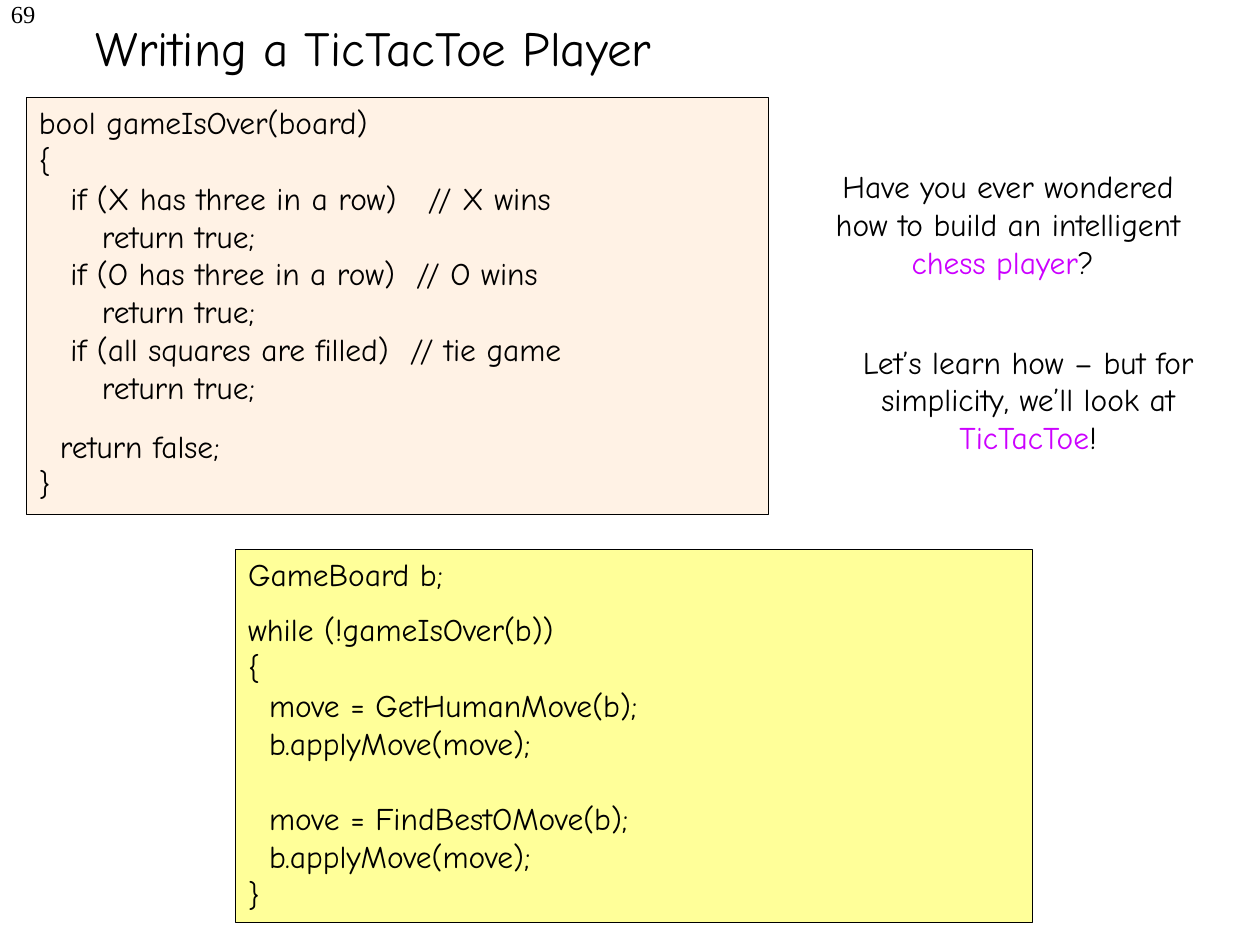
from pptx import Presentation
from pptx.dml.color import RGBColor
from pptx.enum.shapes import MSO_SHAPE
from pptx.enum.text import MSO_ANCHOR, PP_ALIGN
from pptx.util import Inches, Pt

RECTANGLE = MSO_SHAPE.RECTANGLE
TOP, MIDDLE = MSO_ANCHOR.TOP, MSO_ANCHOR.MIDDLE
LEFT, CENTER, RIGHT = PP_ALIGN.LEFT, PP_ALIGN.CENTER, PP_ALIGN.RIGHT
COLORS = {"ink": "000000", "accent": "CC00FF", "yellow": "FFFF99", "peach": "FFF2E5"}
CODE_FONT, NUMBER_FONT = "Comic Neue", "Times New Roman"

deck = Presentation()
deck.slide_width, deck.slide_height = Inches(10), Inches(7.5)
page = deck.slides.add_slide(deck.slide_layouts[6])

# Grid of 100 columns by 75 rows; areas are left, top, width, height
COLUMN, ROW = deck.slide_width / 100, deck.slide_height / 75


def on_grid(left, top, width, height):
    return [int(left * COLUMN), int(top * ROW), int(width * COLUMN), int(height * ROW)]


def fill_text(box, paragraphs, size=18, font=CODE_FONT, align=LEFT, anchor=TOP):
    """Write paragraphs given as (space before in points, [(text, colour name), ...])."""
    frame = box.text_frame
    frame.word_wrap = True
    frame.vertical_anchor = anchor
    for index, (space, spans) in enumerate(paragraphs):
        para = frame.add_paragraph() if index else frame.paragraphs[0]
        para.alignment = align
        if space:
            para.space_before = Pt(space)
        for text, color in spans:
            span = para.add_run()
            span.text = text
            span.font.name = font
            span.font.size = Pt(size)
            span.font.color.rgb = RGBColor.from_string(COLORS[color])


# Page number and title
number = page.shapes.add_textbox(*on_grid(-17, -0.6, 20.8, 5))
fill_text(number, [(0, [("69", "ink")])], 14, NUMBER_FONT, RIGHT)
title = page.shapes.add_textbox(*on_grid(-5.8, -2.5, 70.9, 12.5))
fill_text(title, [(0, [("Writing a TicTacToe Player", "ink")])], 28, align=CENTER, anchor=MIDDLE)

# Code panels: area, fill, lines, and the space before some lines
main_loop = """GameBoard b;
while (!gameIsOver(b))
{
  move = GetHumanMove(b);
  b.applyMove(move);
  move = FindBestOMove(b);
  b.applyMove(move);
}"""
game_over = """bool gameIsOver(board)
{
   if (X has three in a row)   // X wins
      return true;
   if (O has three in a row)  // O wins
      return true;
   if (all squares are filled)  // tie game
      return true;
  return false;
}"""
panels = [
    ((18.7, 43.6, 63.2, 29.6), "yellow", main_loop, {1: 9.6, 5: 21.6}),
    ((2.1, 7.7, 58.9, 33.1), "peach", game_over, {8: 12}),
]
for area, fill, code, gaps in panels:
    panel = page.shapes.add_shape(RECTANGLE, *on_grid(*area))
    panel.shadow.inherit = False
    panel.fill.solid()
    panel.fill.fore_color.rgb = RGBColor.from_string(COLORS[fill])
    panel.line.color.rgb = RGBColor.from_string(COLORS["ink"])
    panel.line.width = Pt(0.25)
    lines = code.splitlines()
    fill_text(panel, [(gaps.get(i, 0), [(line, "ink")]) for i, line in enumerate(lines)])

# Remarks on the right
remarks = [
    (63.6, 12.8, "Have you ever wondered how to build an intelligent ", "chess player", "? "),
    (65.2, 26.7, "Let’s learn how – but for simplicity, we’ll look at ", "TicTacToe", "!"),
]
for left, top, lead, keyword, ending in remarks:
    remark = page.shapes.add_textbox(*on_grid(left, top, 32.8, 10.1))
    fill_text(remark, [(0, [(lead, "ink"), (keyword, "accent"), (ending, "ink")])], align=CENTER)

deck.save("out.pptx")
